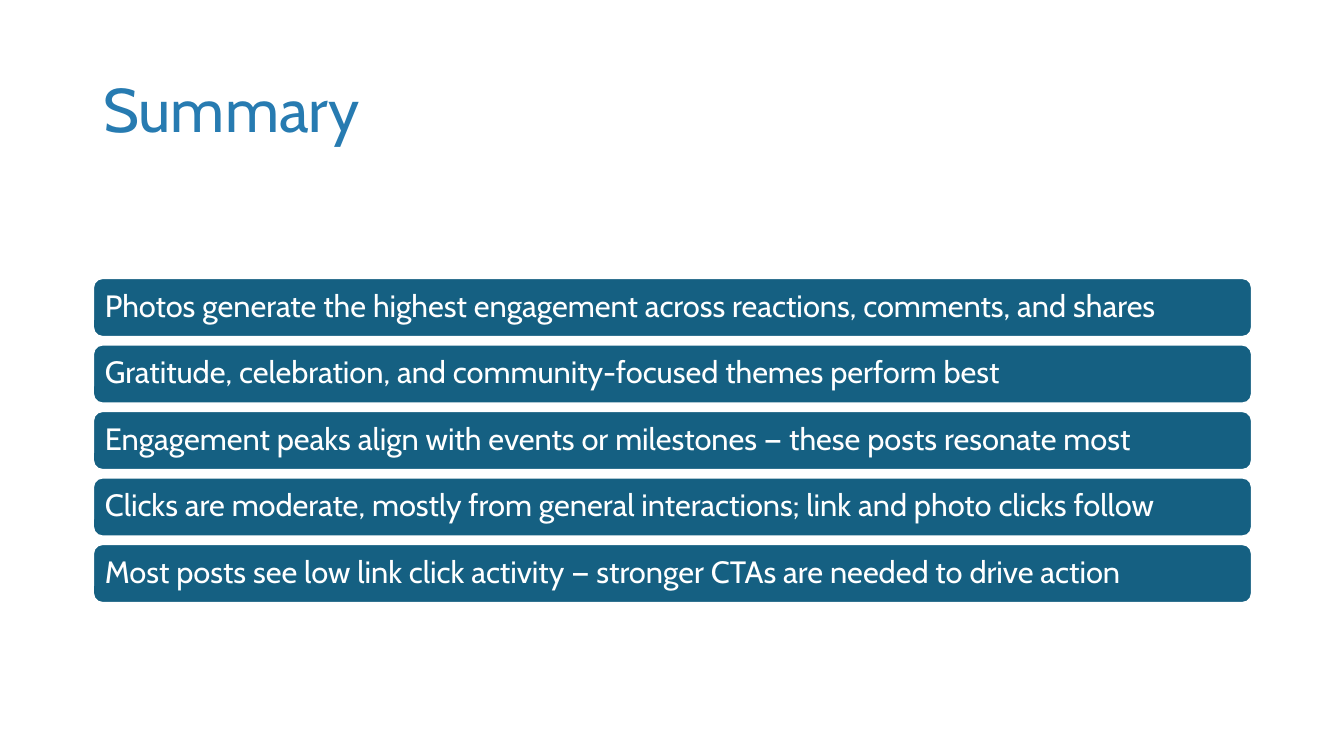
from pptx import Presentation
from pptx import util as u
from pptx.dml.color import RGBColor
from pptx.enum import shapes, text

TITLE = "Summary"
FINDINGS = [
    "Photos generate the highest engagement across reactions, comments, and shares",
    "Gratitude, celebration, and community-focused themes perform best",
    "Engagement peaks align with events or milestones — these posts resonate most",
    "Clicks are moderate, mostly from general interactions; link and photo clicks follow",
    "Most posts see low link click activity — stronger CTAs are needed to drive action",
]
COLOURS = {"title": "277BB1", "bar": "156082", "white": "FFFFFF"}
FONT = "Cabin"

SLIDE_WIDTH, SLIDE_HEIGHT = 1344, 756
LEFT, WIDTH = 93, 1159
TITLE_TOP, TITLE_HEIGHT = 40, 146
BARS_TOP, BARS_BOTTOM, BAR_HEIGHT = 278, 603, 59
BAR_INSET = 9


def px(length):
    return u.Emu(round(length * 914400 / 100.8))


def colour(name):
    return RGBColor.from_string(COLOURS[name])


def set_text(shape, words, size, colour_name):
    frame = shape.text_frame
    frame.text = words
    frame.word_wrap = True
    frame.auto_size = text.MSO_AUTO_SIZE.NONE
    frame.vertical_anchor = text.MSO_ANCHOR.MIDDLE
    paragraph = frame.paragraphs[0]
    paragraph.alignment = text.PP_ALIGN.LEFT
    paragraph.line_spacing = 0.9
    font = paragraph.runs[0].font
    font.name = FONT
    font.size = u.Pt(size)
    font.color.rgb = colour(colour_name)


def add_bar(slide, top, words):
    bar = slide.shapes.add_shape(
        shapes.MSO_SHAPE.ROUNDED_RECTANGLE,
        px(LEFT), px(top), px(WIDTH), px(BAR_HEIGHT))
    bar.shadow.inherit = False
    bar.fill.solid()
    bar.fill.fore_color.rgb = colour("bar")
    bar.line.color.rgb = colour("white")
    bar.line.width = u.Pt(1.5)
    set_text(bar, words, 22, "white")
    frame = bar.text_frame
    frame.margin_left = frame.margin_right = px(BAR_INSET)
    frame.margin_top = frame.margin_bottom = px(BAR_INSET)


def main():
    presentation = Presentation()
    presentation.slide_width = px(SLIDE_WIDTH)
    presentation.slide_height = px(SLIDE_HEIGHT)
    slide = presentation.slides.add_slide(presentation.slide_layouts[5])

    title = slide.shapes.title
    title.left, title.top = px(LEFT), px(TITLE_TOP)
    title.width, title.height = px(WIDTH), px(TITLE_HEIGHT)
    set_text(title, TITLE, 44, "title")

    pitch = (BARS_BOTTOM - BARS_TOP - BAR_HEIGHT) / (len(FINDINGS) - 1)
    for row, finding in enumerate(FINDINGS):
        add_bar(slide, BARS_TOP + row * pitch, finding)

    presentation.save("out.pptx")


if __name__ == "__main__":
    main()
